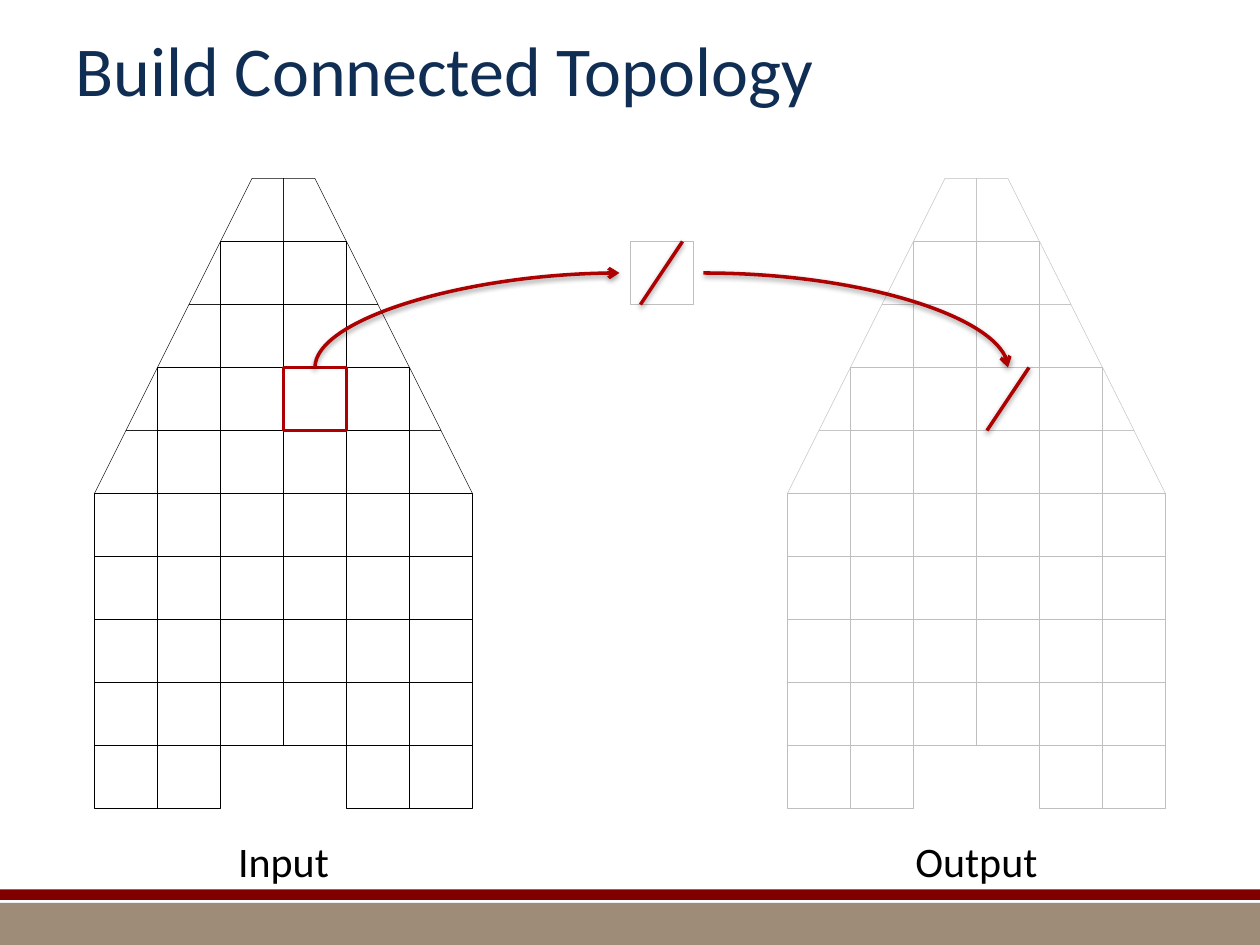
"""Build the slide showing one mesh cell copied into a connected output topology."""
from lxml import etree
from pptx import Presentation
from pptx.dml.color import RGBColor
from pptx.enum.shapes import MSO_CONNECTOR, MSO_SHAPE
from pptx.enum.text import MSO_ANCHOR, MSO_AUTO_SIZE, PP_ALIGN
from pptx.oxml import parse_xml
from pptx.oxml.ns import nsdecls, qn
from pptx.util import Pt

RECTANGLE = MSO_SHAPE.RECTANGLE
STRAIGHT, CURVE = MSO_CONNECTOR.STRAIGHT, MSO_CONNECTOR.CURVE
CENTER, LEFT = PP_ALIGN.CENTER, PP_ALIGN.LEFT
MIDDLE, TOP = MSO_ANCHOR.MIDDLE, MSO_ANCHOR.TOP
FIT_SHAPE, NO_FIT = MSO_AUTO_SIZE.SHAPE_TO_FIT_TEXT, MSO_AUTO_SIZE.NONE

NAVY = RGBColor(0x10, 0x2E, 0x54)
TAN = RGBColor(0x9E, 0x8C, 0x78)
MAROON = RGBColor(0x80, 0x00, 0x00)
RED = RGBColor(0xAD, 0x01, 0x01)
GRAY = RGBColor(0xBF, 0xBF, 0xBF)
BLACK = RGBColor(0x00, 0x00, 0x00)
WHITE = RGBColor(0xFF, 0xFF, 0xFF)

PX = 7620
CELL = 60
MESH_TOP = 170
COLUMNS = 3
THIN, THICK = 0.25, 2

TITLE = "Build Connected Topology"
TITLE_BOX = (60, 0, 1080, 130)
BANDS = [((0, 860, 1200, 40), TAN), ((0, 847, 1200, 10), MAROON)]
MESHES = [("Input", 270, 112, BLACK), ("Output", 930, 142, GRAY)]
LABEL_TOP, LABEL_HEIGHT = 790, 60
CHOSEN_CELL = (270, 350, CELL, CELL)
SINGLE_CELL = (600, 230, CELL, CELL)
ARROWS = [((490, 450), (400, 160), 90), ((670, 260), (960, 350), 0)]
CUTS = [((650, 230), (610, 290)), ((980, 350), (940, 410))]

SHADOW = (
    f'<a:effectLst {nsdecls("a")}><a:outerShdw blurRad="40000" dist="20000" '
    'dir="5400000" rotWithShape="0"><a:srgbClr val="000000">'
    '<a:alpha val="38000"/></a:srgbClr></a:outerShdw></a:effectLst>'
)


def emu(lengths):
    return [length * PX for length in lengths]


def paint(shape, fill=None, line=None, width=THIN):
    shape.shadow.inherit = False
    if fill is None:
        shape.fill.background()
    else:
        shape.fill.solid()
        shape.fill.fore_color.rgb = fill
    if line is None:
        shape.line.fill.background()
    else:
        shape.line.color.rgb = line
        shape.line.width = Pt(width)


def add_box(shapes, box, **style):
    paint(shapes.add_shape(RECTANGLE, *emu(box)), **style)


def add_outline(shapes, points, color):
    builder = shapes.build_freeform(*points[0], scale=PX)
    builder.add_line_segments(points[1:], close=True)
    paint(builder.convert_to_shape(), line=color)


def add_half_mesh(shapes, middle, side, color):
    def place(points):
        return [(middle + int(side * x * CELL), MESH_TOP + y * CELL) for x, y in points]

    for column in range(COLUMNS):
        slope = 2 * column
        last_row = 9 if column else 8
        for row in range(slope + 1, last_row + 1):
            (near, top), (far, _) = place([(column, row), (column + 1, row)])
            add_box(shapes, (min(near, far), top, CELL, CELL), line=color)
        trapezoid = [(column, slope), (column, slope + 1),
                     (column + 1, slope + 1), (column + 0.5, slope)]
        add_outline(shapes, place(trapezoid), color)
        if column:
            triangle = [(column, slope - 1), (column, slope), (column + 0.5, slope)]
            add_outline(shapes, place(triangle), color)


def add_red_line(shapes, kind, start, end):
    connector = shapes.add_connector(kind, *emu(start + end))
    connector.line.color.rgb = RED
    connector.line.width = Pt(THICK)
    connector._element.spPr.append(parse_xml(SHADOW))
    return connector


def add_curved_arrow(shapes, start, end, turn):
    properties = add_red_line(shapes, CURVE, start, end)._element.spPr
    properties.find(qn("a:prstGeom")).set("prst", "curvedConnector2")
    properties.find(qn("a:xfrm")).set("rot", str(turn * 60000))
    etree.SubElement(properties.find(qn("a:ln")), qn("a:tailEnd"), type="arrow")


def write(holder, text, size, color, align, frame_format):
    frame = holder.text_frame
    frame.text = text
    for name, value in frame_format.items():
        setattr(frame, name, value)
    paragraph = frame.paragraphs[0]
    paragraph.alignment = align
    font = paragraph.runs[0].font
    for name, value in {"name": "Calibri", "size": Pt(size)}.items():
        setattr(font, name, value)
    font.color.rgb = color


def main():
    deck = Presentation()
    deck.slide_width, deck.slide_height = emu((1200, 900))
    slide = deck.slides.add_slide(deck.slide_layouts[5])
    shapes = slide.shapes

    for box, color in BANDS:
        add_box(shapes, box, fill=color)

    title = shapes.title
    title.left, title.top, title.width, title.height = emu(TITLE_BOX)
    write(title, TITLE, 40, NAVY, LEFT,
          {"vertical_anchor": MIDDLE, "word_wrap": True, "auto_size": NO_FIT})

    for label, middle, width, color in MESHES:
        mesh = shapes.add_group_shape()
        for side in (1, -1):
            add_half_mesh(mesh.shapes, middle, side, color)
        box = (middle - width // 2, LABEL_TOP, width, LABEL_HEIGHT)
        write(shapes.add_textbox(*emu(box)), label, 24, BLACK, CENTER,
              {"vertical_anchor": TOP, "word_wrap": False, "auto_size": FIT_SHAPE})

    add_box(shapes, CHOSEN_CELL, fill=WHITE, line=RED, width=THICK)
    for arrow in ARROWS:
        add_curved_arrow(shapes, *arrow)
    add_box(shapes, SINGLE_CELL, line=GRAY)
    for start, end in CUTS:
        add_red_line(shapes, STRAIGHT, start, end)

    deck.save("out.pptx")


if __name__ == "__main__":
    main()
